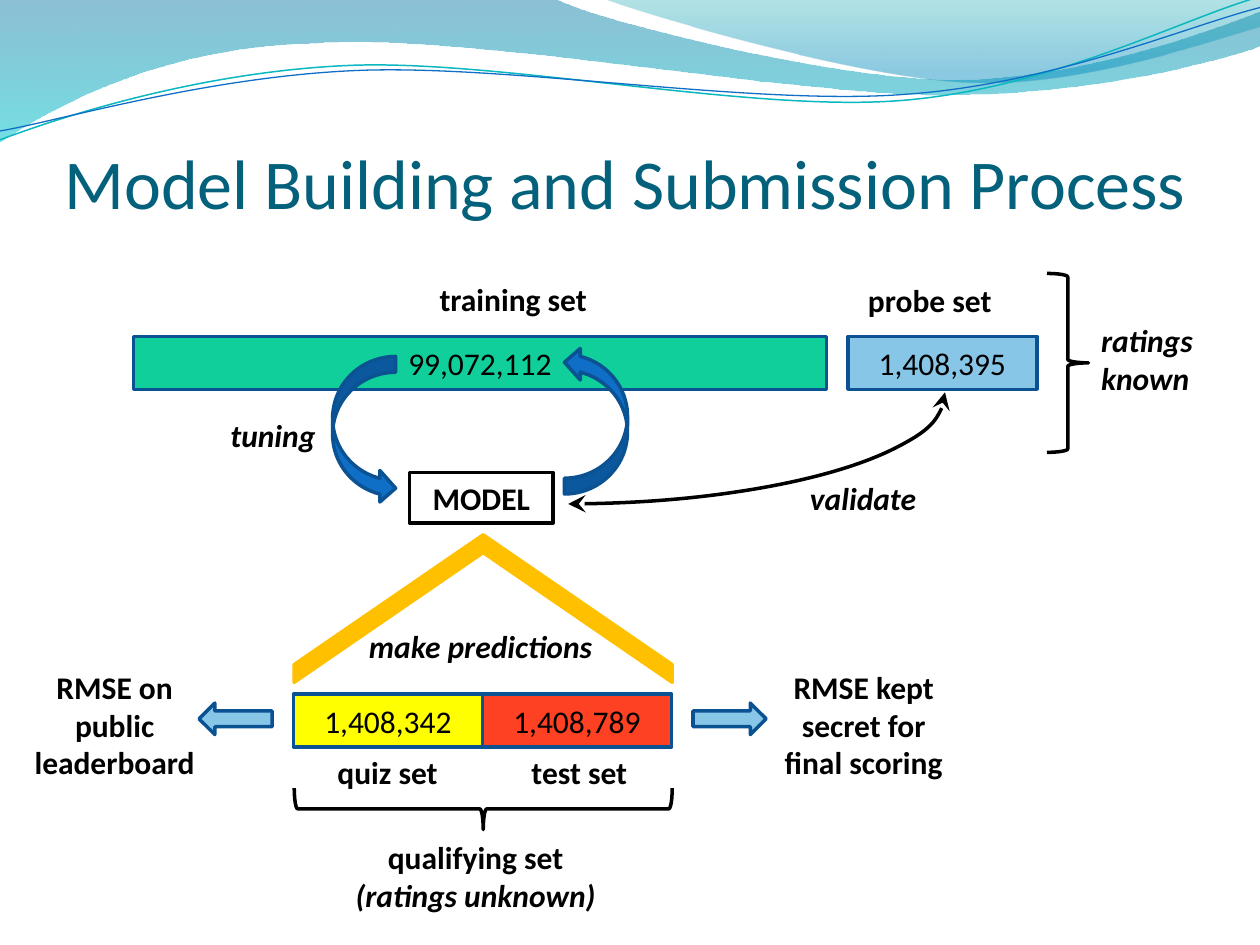
from lxml.etree import SubElement
from pptx import Presentation
from pptx.dml.color import RGBColor
from pptx.enum.shapes import MSO_SHAPE as Shape
from pptx.enum.text import MSO_ANCHOR as Anchor, MSO_AUTO_SIZE as AutoSize, PP_ALIGN as Align
from pptx.oxml.ns import qn
from pptx.util import Inches, Pt

FONT = "Calibri"
COLORS = {
    "black": "000000", "title": "04617B", "border": "0B5292", "blue": "0F6FC6",
    "sky": "88C6E8", "green": "10CF9B", "red": "FE4122", "yellow": "FFFF00",
    "gold": "FFC000", "aqua": "0AB8BF", "wave_blue": "0074A1",
    "wave_teal": "00C6CF", "crest_teal": "00A1A9", "crest_blue": "008BBF",
}

# Each wave is a start point followed by lines (one point) and curves (three points).
WAVES = [
    ((0, 0), [[(4.4, -0.01)], [(4.76, 0.17), (6.64, 0.63), (7.58, 0.63)],
              [(8.53, 0.63), (9.58, 0.26), (10, 0.09)], [(10.01, 0.36)],
              [(9.83, 0.44), (8.7, 0.76), (7.46, 0.75)],
              [(6.22, 0.75), (3.82, 0.28), (2.57, 0.34)],
              [(1.29, 0.36), (0.46, 0.83), (-0.01, 1.13)], [(0, 0)]],
     [(0, "wave_blue", 45), (100, "wave_teal", 55)]),
    ((4.79, -0.01), [[(5.09, 0.11), (6.82, 0.62), (7.69, 0.65)],
                     [(8.56, 0.69), (9.61, 0.32), (10, 0.21)], [(10, 0)], [(4.79, -0.01)]],
     [(0, "crest_teal", 30), (80, "crest_blue", 45)]),
]
WAVE_LINES = [
    ((0, 1.11), [[(0.48, 0.93), (1.58, 0.57), (2.77, 0.52)],
                 [(3.95, 0.47), (5.93, 0.89), (7.13, 0.8)],
                 [(8.33, 0.71), (9.38, 0.15), (9.98, -0.02)]], "aqua", 0.85),
    ((0, 1.04), [[(0.47, 0.96), (1.64, 0.61), (2.83, 0.56)],
                 [(4.03, 0.51), (5.97, 0.84), (7.17, 0.75)],
                 [(8.36, 0.67), (9.41, 0.21), (10, 0.06)]], "blue", 0.75),
]

TITLE = "Model Building and Submission Process"
DATA_SETS = [
    ("99,072,112", 1.06, 2.67, 5.5, "green"),
    ("1,408,395", 6.73, 2.67, 1.5, "sky"),
    ("1,408,789", 3.83, 5.51, 1.5, "red"),
    ("1,408,342", 2.33, 5.51, 1.5, "yellow"),
]
LABEL_HEIGHTS = {1: 0.4, 2: 0.71, 3: 1.01}
LABELS = [
    (["training set"], 3.39, 2.17, 1.38, Align.LEFT, ""),
    (["quiz set"], 2.58, 5.93, 1, Align.LEFT, ""),
    (["test set"], 4.12, 5.93, 0.97, Align.LEFT, ""),
    (["qualifying set", "(ratings unknown)"], 2.72, 6.6, 2.11, Align.CENTER, "(ratings unknown)"),
    (["probe set"], 6.79, 2.18, 1.19, Align.LEFT, ""),
    (["tuning"], 1.73, 3.25, 0.88, Align.LEFT, "tuning"),
    (["ratings", "known"], 8.64, 2.5, 0.94, Align.LEFT, "ratings known"),
    (["validate"], 6.33, 3.75, 1.05, Align.LEFT, "validate"),
    (["make predictions"], 2.83, 4.93, 2, Align.LEFT, "make predictions"),
    (["RMSE on", "public", "leaderboard"], 0.17, 5.25, 1.48, Align.CENTER, ""),
    (["RMSE kept", "secret for", "final scoring"], 6.12, 5.25, 1.47, Align.CENTER, ""),
]
SYMBOLS = [
    (Shape.RIGHT_BRACE, (3.67, 4.92, 0.33, 3), 90, None, "black", []),
    (Shape.CURVED_RIGHT_ARROW, (4.48, 2.75, 0.5, 1.17), 180, "blue", "border", []),
    (Shape.CURVED_RIGHT_ARROW, (2.64, 2.83, 0.5, 1.17), 0, "blue", "border", []),
    (Shape.RIGHT_BRACE, (8.31, 2.17, 0.33, 1.42), 0, None, "black", []),
    (Shape.CHEVRON, (3.25, 3.33, 1.17, 3), 270, "gold", "gold", [0.88]),
    (Shape.RIGHT_ARROW, (5.5, 5.58, 0.58, 0.25), 0, "sky", "border", []),
    (Shape.RIGHT_ARROW, (1.58, 5.58, 0.58, 0.25), 180, "sky", "border", []),
]


def rgb(name):
    return RGBColor.from_string(COLORS[name])


def style(shape, fill, line, width=2):
    shape.shadow.inherit = False
    if fill:
        shape.fill.solid()
        shape.fill.fore_color.rgb = rgb(fill)
    else:
        shape.fill.background()
    if line:
        shape.line.color.rgb = rgb(line)
        shape.line.width = Pt(width)
    else:
        shape.line.fill.background()


def write(shape, lines, align=Align.CENTER, size=18, color="black", bold=False, italic=""):
    frame = shape.text_frame
    frame.text = "\n".join(lines)
    for paragraph in frame.paragraphs:
        paragraph.alignment = align
        for run in paragraph.runs:
            font = run.font
            font.name, font.size, font.bold = FONT, Pt(size), bold
            font.italic = run.text in italic
            font.color.rgb = rgb(color)
    return frame


def add_symbol(slide, kind, box, fill, line):
    shape = slide.shapes.add_shape(kind, *map(Inches, box))
    style(shape, fill, line)
    return shape


def add_wave(slide, start, segments, close):
    builder = slide.shapes.build_freeform(*map(Inches, start))
    builder.add_line_segments([(Inches(x), Inches(y)) for segment in segments for x, y in segment],
                              close=close)
    wave = builder.convert_to_shape()
    lines = iter(list(wave._element.spPr.iter(qn("a:lnTo"))))
    for segment in segments:
        first, *others = [next(lines) for _ in segment]
        if others:
            curve = first.makeelement(qn("a:cubicBezTo"))
            first.addprevious(curve)
            for line in (first, *others):
                curve.append(line[0])
                line.getparent().remove(line)
    return wave


def set_gradient(shape, stops):
    properties = shape._element.spPr
    old_fill = properties.find(qn("a:noFill"))
    gradient = properties.makeelement(qn("a:gradFill"), {"rotWithShape": "1"})
    properties.replace(old_fill, gradient)
    stop_list = SubElement(gradient, qn("a:gsLst"))
    for position, color, opacity in stops:
        stop = SubElement(stop_list, qn("a:gs"), pos=str(position * 1000))
        value = SubElement(stop, qn("a:srgbClr"), val=COLORS[color])
        SubElement(value, qn("a:alpha"), val=str(opacity * 1000))
    SubElement(gradient, qn("a:lin"), ang="5400000", scaled="0")


def add_validation_arc(slide):
    arc = add_symbol(slide, Shape.ARC, (1.42, 2.25, 6.08, 1.75), None, "black")
    arc.adjustments[0], arc.adjustments[1] = 163.95, 0.13
    properties = arc._element.spPr
    properties.find(qn("a:xfrm")).set("flipV", "1")
    for end in ("a:headEnd", "a:tailEnd"):
        SubElement(properties.find(qn("a:ln")), qn(end), type="stealth", w="lg", len="lg")


def main():
    presentation = Presentation()
    presentation.slide_width, presentation.slide_height = Inches(10), Inches(7.5)
    slide = presentation.slides.add_slide(presentation.slide_layouts[6])

    for start, segments, stops in WAVES:
        wave = add_wave(slide, start, segments, True)
        style(wave, None, None)
        set_gradient(wave, stops)
    for start, segments, color, width in WAVE_LINES:
        style(add_wave(slide, start, segments, False), None, color, width)

    title = slide.shapes.add_textbox(*map(Inches, (0.42, 0.92, 9.08, 0.85)))
    frame = write(title, [TITLE], size=40, color="title")
    frame.word_wrap = True
    frame.vertical_anchor = Anchor.BOTTOM
    frame.margin_left = frame.margin_right = frame.margin_bottom = 0

    for text, left, top, width, color in DATA_SETS:
        bar = add_symbol(slide, Shape.RECTANGLE, (left, top, width, 0.42), color, "border")
        write(bar, [text]).vertical_anchor = Anchor.MIDDLE

    for kind, box, rotation, fill, line, adjustments in SYMBOLS:
        symbol = add_symbol(slide, kind, box, fill, line)
        symbol.rotation = rotation
        for index, value in enumerate(adjustments):
            symbol.adjustments[index] = value

    model = add_symbol(slide, Shape.RECTANGLE, (3.25, 3.75, 1.14, 0.4), None, "black")
    write(model, ["MODEL"], bold=True).auto_size = AutoSize.SHAPE_TO_FIT_TEXT
    add_validation_arc(slide)

    for lines, left, top, width, align, italic in LABELS:
        box = (left, top, width, LABEL_HEIGHTS[len(lines)])
        label = slide.shapes.add_textbox(*map(Inches, box))
        frame = write(label, lines, align, bold=True, italic=italic)
        frame.word_wrap = False
        frame.auto_size = AutoSize.SHAPE_TO_FIT_TEXT

    presentation.save("out.pptx")


if __name__ == "__main__":
    main()
